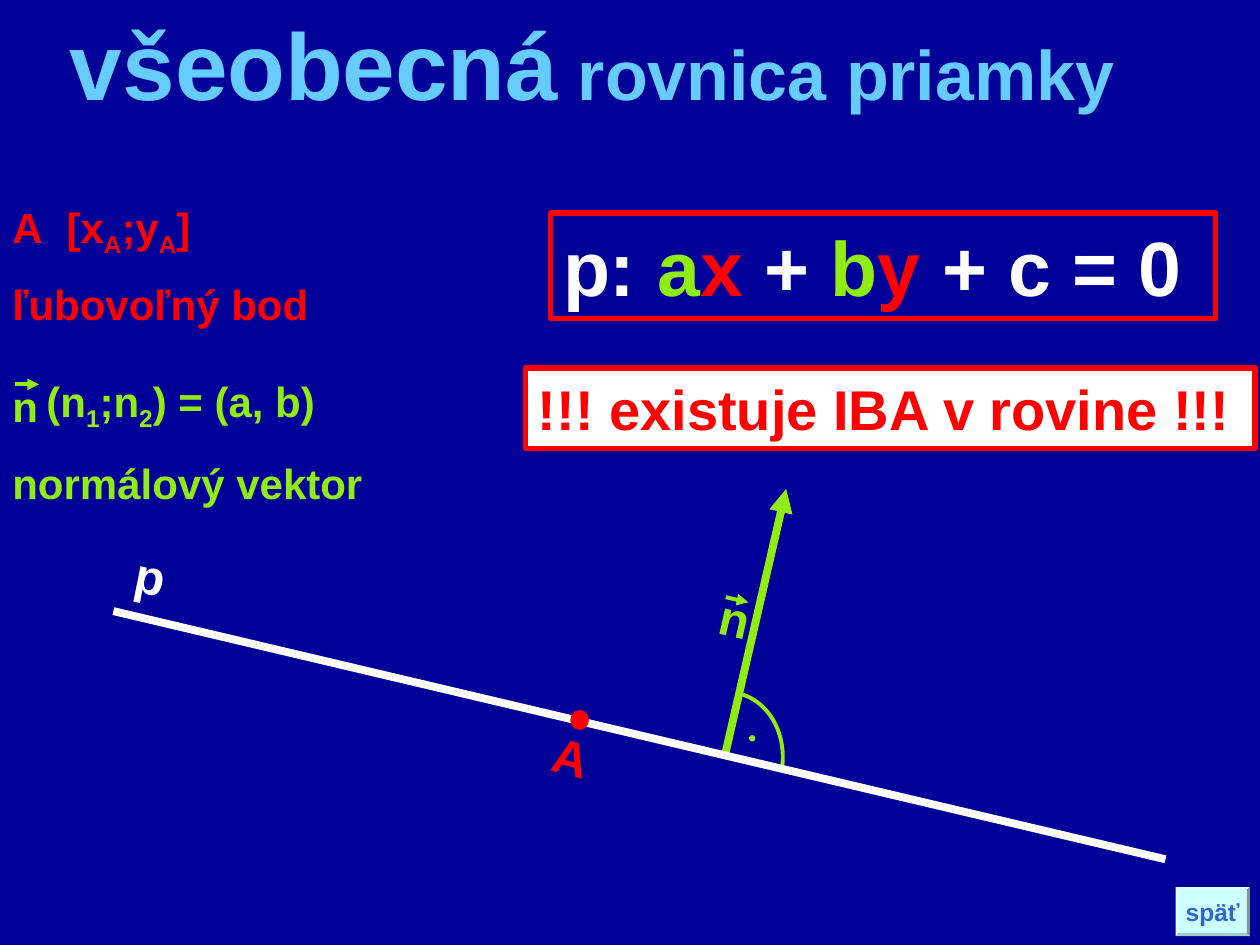
from dataclasses import dataclass

from lxml.etree import SubElement
from pptx import Presentation
from pptx.dml.color import RGBColor as Color
from pptx.enum.shapes import MSO_CONNECTOR as Connector, MSO_SHAPE as Preset
from pptx.enum.text import MSO_ANCHOR as Anchor, MSO_AUTO_SIZE as AutoSize, PP_ALIGN as Align
from pptx.oxml.ns import qn
from pptx.util import Inches, Pt


@dataclass(frozen=True)
class Theme:
    font: str = "Arial"
    background: str = "000099"
    heading: str = "66CCFF"
    normal: str = "90ED13"
    point: str = "FF0000"
    plain: str = "FFFFFF"
    button: str = "CCFFFF"
    button_text: str = "3366CC"
    title_size: int = 54
    subtitle_size: int = 40
    equation_size: int = 44
    notice_size: int = 32
    label_size: int = 28
    body_size: int = 24
    button_size: int = 14
    thick: float = 4.5
    frame: float = 3
    thin: float = 2.25
    space_before: int = 15


class SlideBuilder:
    def __init__(self, slide, theme):
        self.slide = slide
        self.theme = theme
        fill = slide.background.fill
        fill.solid()
        fill.fore_color.rgb = Color.from_string(theme.background)

    def style_run(self, run, size, color):
        font = run.font
        font.name = self.theme.font
        font.size = Pt(size)
        font.bold = True
        font.color.rgb = Color.from_string(color)

    def add_runs(self, paragraph, pieces, size, color):
        for piece in pieces:
            text, changes = piece if isinstance(piece, tuple) else (piece, {})
            run = paragraph.add_run()
            run.text = text
            self.style_run(run, changes.get("size", size), changes.get("color", color))
            if "baseline" in changes:
                run.font._element.set("baseline", str(changes["baseline"]))

    def fill_text(self, text_frame, paragraphs, size, color, align=Align.LEFT, anchor=Anchor.TOP):
        text_frame.word_wrap = True
        text_frame.auto_size = AutoSize.NONE
        text_frame.vertical_anchor = anchor
        for index, pieces in enumerate(paragraphs):
            paragraph = text_frame.add_paragraph() if index else text_frame.paragraphs[0]
            paragraph.alignment = align
            paragraph.space_before = Pt(self.theme.space_before if index else 0)
            self.add_runs(paragraph, pieces, size, color)

    def title(self, box, pieces):
        shape = self.slide.shapes.title
        shape.left, shape.top, shape.width, shape.height = map(Inches, box)
        self.fill_text(shape.text_frame, [pieces], self.theme.title_size, self.theme.heading,
                       Align.CENTER, Anchor.MIDDLE)

    def text(self, box, paragraphs, size, color, rotation=0):
        shape = self.slide.shapes.add_textbox(*map(Inches, box))
        shape.rotation = rotation
        self.fill_text(shape.text_frame, paragraphs, size, color)

    def shape(self, preset, box, fill=None, line=None, width=0.75, rotation=0):
        shape = self.slide.shapes.add_shape(preset, *map(Inches, box))
        shape.shadow.inherit = False
        shape.rotation = rotation
        if fill:
            shape.fill.solid()
            shape.fill.fore_color.rgb = Color.from_string(fill)
        else:
            shape.fill.background()
        if line:
            shape.line.color.rgb = Color.from_string(line)
            shape.line.width = Pt(width)
        else:
            shape.line.fill.background()
        return shape

    def framed_text(self, box, pieces, size, color, fill=None):
        shape = self.shape(Preset.RECTANGLE, box, fill, self.theme.point, self.theme.frame)
        self.fill_text(shape.text_frame, [pieces], size, color)

    def line(self, start, end, color, width, arrow=False):
        connector = self.slide.shapes.add_connector(
            Connector.STRAIGHT, *map(Inches, (*start, *end)))
        connector.line.color.rgb = Color.from_string(color)
        connector.line.width = Pt(width)
        properties = connector._element.spPr
        if arrow:
            SubElement(properties.find(qn("a:ln")), qn("a:tailEnd"), type="triangle")
        SubElement(properties, qn("a:effectLst"))

    def button(self, box, text):
        shape = self.shape(Preset.BEVEL, box, self.theme.button)
        shape.adjustments[0] = 0.06
        self.fill_text(shape.text_frame, [[text]], self.theme.button_size,
                       self.theme.button_text, Align.CENTER, Anchor.MIDDLE)
        shape.text_frame.word_wrap = False


def subscript(text):
    return text, {"baseline": -25000}


def main():
    theme = Theme()
    presentation = Presentation()
    presentation.slide_width = Inches(10)
    presentation.slide_height = Inches(7.5)
    builder = SlideBuilder(presentation.slides.add_slide(presentation.slide_layouts[5]), theme)

    builder.title((0.2, 0.08, 9, 0.84),
                  ["všeobecná", (" rovnica priamky", {"size": theme.subtitle_size})])

    builder.line((5.75, 6.01), (6.24, 3.88), theme.normal, theme.thick, arrow=True)
    builder.text((5.62, 4.62, 0.4, 0.57), [["n"]], theme.label_size, theme.normal, 13)
    builder.line((5.76, 4.74), (5.94, 4.78), theme.normal, theme.thin, arrow=True)
    builder.shape(Preset.ARC, (5.27, 5.49, 0.94, 1.1), line=theme.normal,
                  width=theme.thin, rotation=11)
    builder.shape(Preset.OVAL, (5.95, 5.84, 0.04, 0.04), theme.normal, theme.normal)

    builder.line((0.9, 4.85), (9.25, 6.82), theme.plain, theme.thick)
    builder.text((0.98, 4.3, 0.63, 0.57), [["p"]], theme.label_size, theme.plain, 11.5)
    builder.text((4.29, 5.76, 0.79, 0.57), [["A"]], theme.label_size, theme.point, 15)
    builder.shape(Preset.OVAL, (4.54, 5.65, 0.12, 0.13), theme.point, theme.point, 2)

    builder.text((0, 1.55, 2.64, 1.11), [["A"], ["ľubovoľný bod"]],
                 theme.body_size, theme.point)
    builder.text((0.43, 1.55, 2.01, 0.56),
                 [["[x", subscript("A"), ";y", subscript("A"), "]"]],
                 theme.body_size, theme.point)
    builder.text((0, 2.97, 3.43, 1.11), [["n"], ["normálový vektor"]],
                 theme.body_size, theme.normal)
    builder.line((0.12, 3.05), (0.31, 3.05), theme.normal, theme.thin, arrow=True)
    builder.text((0.27, 2.93, 2.68, 0.56),
                 [["(n", subscript("1"), ";n", subscript("2"), ") = (a, b)"]],
                 theme.body_size, theme.normal)

    coefficient, variable = {"color": theme.normal}, {"color": theme.point}
    builder.framed_text(
        (4.37, 1.69, 5.28, 0.84),
        ["p: ", ("a", coefficient), ("x", variable), " + ",
         ("b", coefficient), ("y", variable), " + c = 0"],
        theme.equation_size, theme.plain)
    builder.framed_text((4.17, 2.92, 5.79, 0.64), ["!!! existuje IBA v rovine !!!"],
                        theme.notice_size, theme.point, theme.plain)

    builder.button((9.33, 7.04, 0.59, 0.39), "späť")
    presentation.save("out.pptx")


if __name__ == "__main__":
    main()
